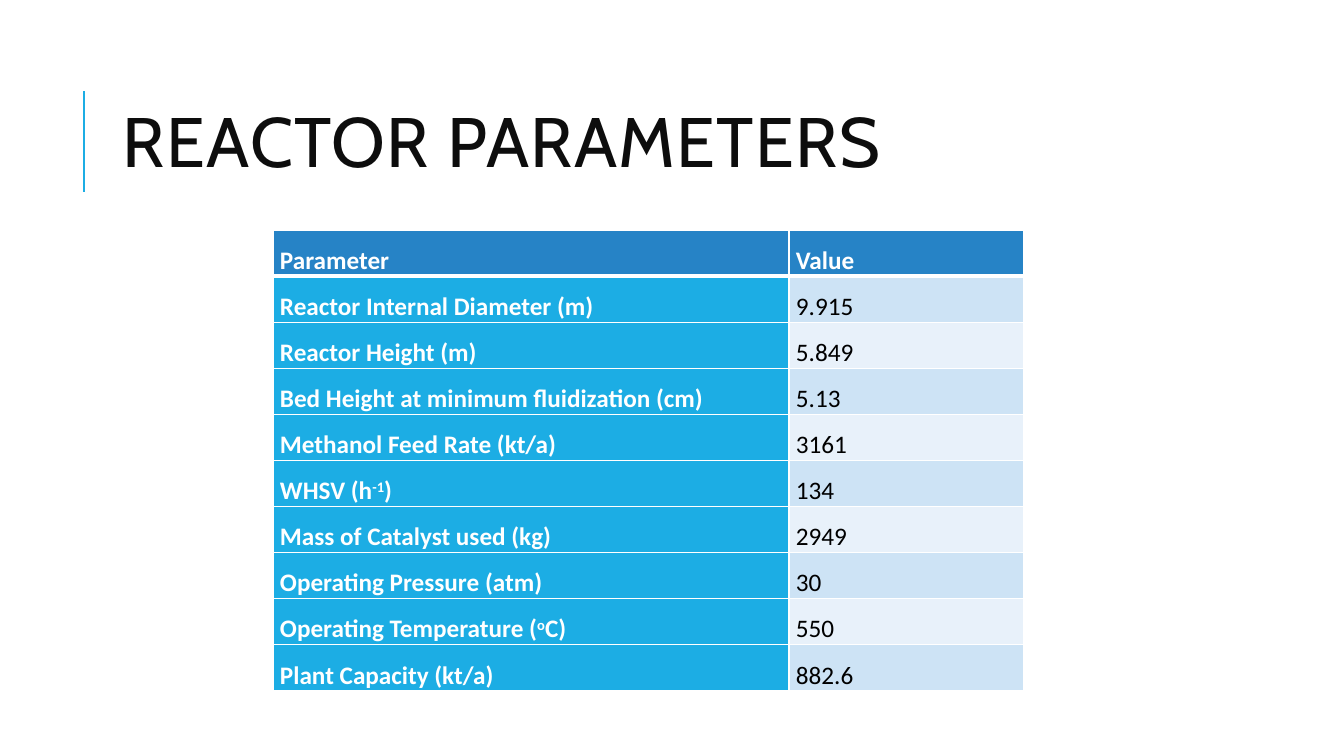
from lxml import etree
from pptx import Presentation
from pptx.dml.color import RGBColor
from pptx.enum.shapes import MSO_CONNECTOR
from pptx.enum.text import MSO_ANCHOR
from pptx.oxml.ns import qn
from pptx.util import Pt

STRAIGHT = MSO_CONNECTOR.STRAIGHT
MIDDLE = MSO_ANCHOR.MIDDLE
SCALE = 914400 / 100.8
WHITE, BLACK, INK = "FFFFFF", "000000", "0D0D0D"
HEAD, LABEL = "2683C6", "1CADE4"
BANDS = ("CDE3F5", "E8F1FA")

# A label is split at "^": its middle part is raised.
ROWS = [
    ("Parameter", "Value"),
    ("Reactor Internal Diameter (m)", "9.915"),
    ("Reactor Height (m)", "5.849"),
    ("Bed Height at minimum fluidization (cm)", "5.13"),
    ("Methanol Feed Rate (kt/a)", "3161"),
    ("WHSV (h^-1^)", "134"),
    ("Mass of Catalyst used (kg)", "2949"),
    ("Operating Pressure (atm)", "30"),
    ("Operating Temperature (^o^C)", "550"),
    ("Plant Capacity (kt/a)", "882.6"),
]


def px(num):
    """Turn pixels into EMU."""
    return round(num * SCALE)


def color(code):
    """Turn a hex string into a colour."""
    return RGBColor.from_string(code)


def style(item, values):
    """Set each attribute named in a dict."""
    for name, value in values.items():
        setattr(item, name, value)


def write(para, text, code, font, **attrs):
    """Write text as runs, raising the part between carets."""
    for i, part in enumerate(text.split("^")):
        run = para.add_run()
        run.text = part
        style(run.font, font)
        run.font.color.rgb = color(code)
        props = run._r.get_or_add_rPr()
        for name, value in attrs.items():
            props.set(name, value)
        if i % 2:
            props.set("baseline", "30000")


def border(cell, low):
    """Draw white borders around a cell, with a given bottom width."""
    props = cell._tc.get_or_add_tcPr()
    for side, width in (("L", 1), ("R", 1), ("T", 1), ("B", low)):
        line = etree.SubElement(props, qn("a:ln" + side), w=str(Pt(width)))
        fill = etree.SubElement(line, qn("a:solidFill"))
        etree.SubElement(fill, qn("a:srgbClr"), val=WHITE)


def title(slide, box, text):
    """Place the heading in its box, with the accent line to its left."""
    left, top, width, height = box
    x, y = px(left - 29), top + 26
    line = slide.shapes.add_connector(STRAIGHT, x, px(y + 101), x, px(y))
    line.line.color.rgb = color(LABEL)
    line.line.width = Pt(1.5)
    etree.SubElement(line._element.spPr, qn("a:effectLst"))
    frame = slide.shapes.add_textbox(*map(px, box)).text_frame
    style(frame, {"word_wrap": True, "vertical_anchor": MIDDLE})
    para = frame.paragraphs[0]
    para.line_spacing = 0.8
    write(para, text, INK, {"size": Pt(50), "name": "Cabin"}, spc="100")


def fill_cell(cell, text, row, col):
    """Format one table cell by its row and column."""
    bold = row == 0 or col == 0
    border(cell, 3 if row == 0 else 1)
    cell.fill.solid()
    back = HEAD if row == 0 else LABEL if col == 0 else BANDS[(row - 1) % 2]
    cell.fill.fore_color.rgb = color(back)
    style(cell, {"margin_left": px(7), "margin_right": px(7),
                 "margin_top": 0, "margin_bottom": 0})
    para = cell.text_frame.paragraphs[0]
    para.line_spacing = 1.5
    write(para, text, WHITE if bold else BLACK,
          {"size": Pt(18), "name": "Calibri", "bold": bold})


def table(slide, box, rows, first):
    """Build the table in its box; first is the label column's width."""
    grid = slide.shapes.add_table(len(rows), 2, *map(px, box)).table
    for col, width in zip(grid.columns, (first, box[2] - first)):
        col.width = px(width)
    for i, texts in enumerate(rows):
        grid.rows[i].height = px(box[3] / len(rows))
        for j, text in enumerate(texts):
            fill_cell(grid.cell(i, j), text, i, j)


def main():
    """Build the slide and save it."""
    deck = Presentation()
    style(deck, {"slide_width": px(1344), "slide_height": px(756)})
    slide = deck.slides.add_slide(deck.slide_layouts[6])
    title(slide, (113, 65, 1072, 165), "REACTOR PARAMETERS")
    table(slide, (273, 230, 751, 461), ROWS, 516)
    deck.save("out.pptx")


main()
